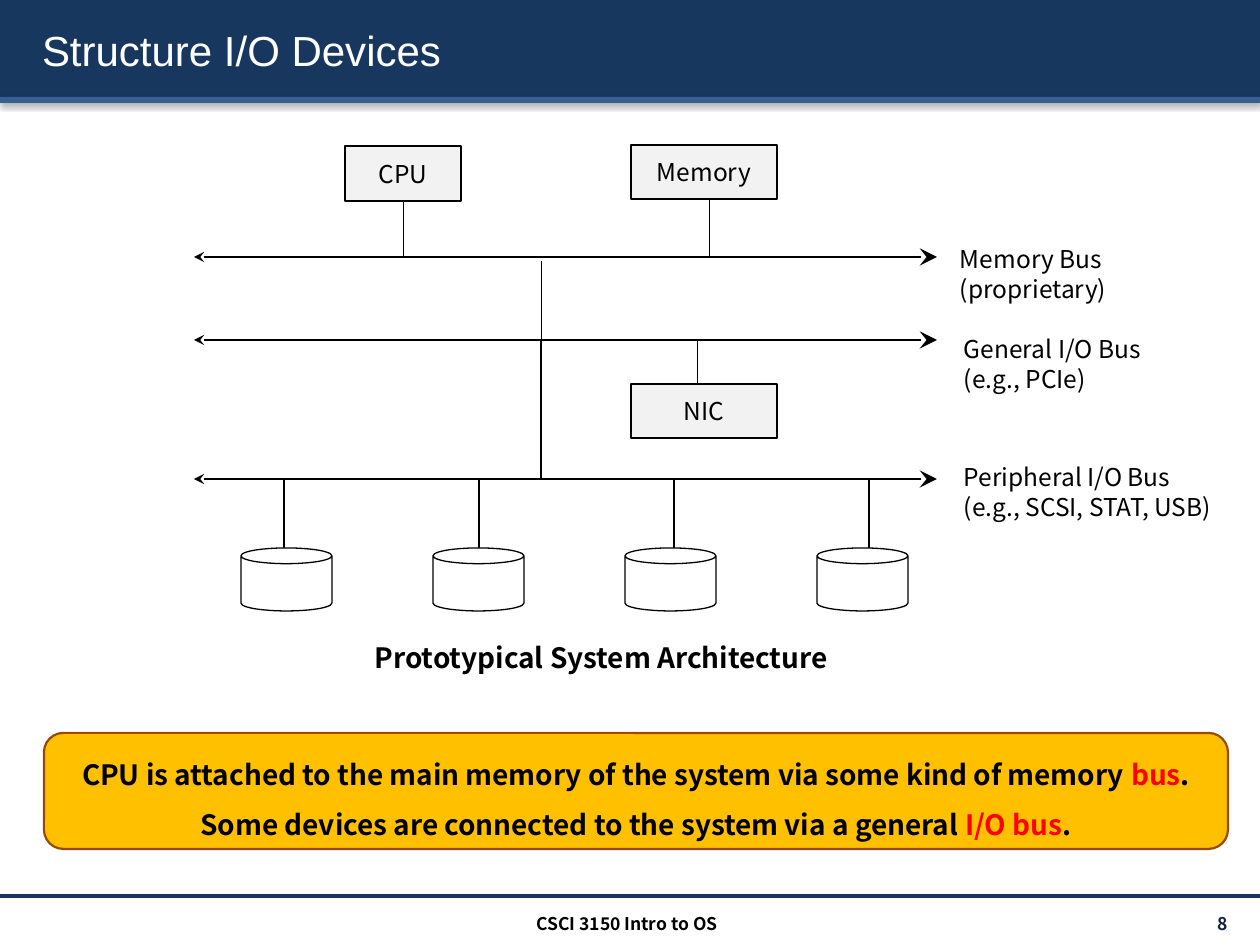
from typing import NamedTuple, Optional

from lxml.etree import SubElement
from pptx import Presentation
from pptx.dml.color import RGBColor
from pptx.enum.shapes import MSO_CONNECTOR as Connector, MSO_SHAPE as Shape
from pptx.enum.text import MSO_ANCHOR as Anchor, PP_ALIGN as Align
from pptx.oxml.ns import qn
from pptx.util import Emu, Pt

EMU_PER_INCH = 914400
PX_PER_INCH = 126
BODY_FONT = "Noto Sans CJK KR"
TITLE_FONT = "Arial"

NAVY = RGBColor(0x17, 0x37, 0x5E)
STEEL = RGBColor(0x37, 0x60, 0x92)
INK = RGBColor(0x0F, 0x24, 0x3E)
BLACK = RGBColor(0, 0, 0)
WHITE = RGBColor(255, 255, 255)
PALE = RGBColor(0xF2, 0xF2, 0xF2)
AMBER = RGBColor(0xFF, 0xC0, 0)
BROWN = RGBColor(0x98, 0x48, 0x07)
RED = RGBColor(255, 0, 0)


class Area(NamedTuple):
    left: int
    top: int
    width: int
    height: int


class Component(NamedTuple):
    label: str
    area: Area


class Bus(NamedTuple):
    y: int
    label: list
    label_area: Area


class Link(NamedTuple):
    x: int
    top: int
    bottom: int
    weight: float


BUS_LEFT, BUS_RIGHT = 194, 937
MEMORY_BUS = Bus(257, ["Memory Bus", "(proprietary)"], Area(947, 238, 202, 72))
GENERAL_BUS = Bus(340, ["General I/O Bus", "(e.g., PCIe)"], Area(951, 328, 228, 72))
PERIPHERAL_BUS = Bus(479, ["Peripheral I/O Bus", "(e.g., SCSI, STAT, USB)"],
                     Area(951, 456, 277, 72))
CPU = Component("CPU", Area(345, 146, 116, 55))
MEMORY = Component("Memory", Area(631, 145, 146, 54))
NIC = Component("NIC", Area(631, 384, 146, 54))
DISK = Area(241, 548, 91, 63)
DISK_COUNT, DISK_PITCH = 4, 192
DISK_LINK_X, DISK_LINK_PITCH = 284, 195
LINKS = [
    Link(541, 261, GENERAL_BUS.y, 0.5),
    Link(541, GENERAL_BUS.y, PERIPHERAL_BUS.y, 1),
    Link(697, GENERAL_BUS.y, NIC.area.top, 0.5),
    Link(709, 200, 256, 0.5),
]
SUMMARY = [
    [("CPU is attached to the main memory of the system via some kind of memory ", BLACK),
     ("bus", RED), (".", BLACK)],
    [("Some devices are connected to the system via a general ", BLACK),
     ("I/O bus", RED), (".", BLACK)],
]


def px(value: float) -> Emu:
    return Emu(round(value * EMU_PER_INCH / PX_PER_INCH))


def place(area: Area) -> list:
    return [px(value) for value in area]


def write(shape, paragraphs: list, *, size: float, color=BLACK, font=BODY_FONT,
          bold=False, align=Align.LEFT, anchor=Anchor.TOP, side_margin=13,
          line_spacing: Optional[float] = None) -> None:
    frame = shape.text_frame
    frame.word_wrap = True
    frame.vertical_anchor = anchor
    frame.margin_left = frame.margin_right = px(side_margin)
    for index, content in enumerate(paragraphs):
        paragraph = frame.add_paragraph() if index else frame.paragraphs[0]
        paragraph.alignment = align
        if line_spacing:
            paragraph.line_spacing = line_spacing
        pieces = [(content, color)] if isinstance(content, str) else content
        for words, ink in pieces:
            run = paragraph.add_run()
            run.text = words
            run.font.size = Pt(size)
            run.font.bold = bold
            run.font.color.rgb = ink
            run.font.name = font


def add_text(slide, area: Area, paragraphs: list, **style) -> None:
    write(slide.shapes.add_textbox(*place(area)), paragraphs, **style)


def add_block(slide, kind, area: Area, fill: RGBColor,
              outline: Optional[RGBColor] = None, weight: float = 0.75):
    block = slide.shapes.add_shape(kind, *place(area))
    block.shadow.inherit = False
    block.fill.solid()
    block.fill.fore_color.rgb = fill
    if outline is None:
        block.line.fill.background()
    else:
        block.line.color.rgb = outline
        block.line.width = Pt(weight)
    return block


def add_line(slide, start: tuple, end: tuple, weight: float, color=BLACK):
    line = slide.shapes.add_connector(Connector.STRAIGHT, *map(px, start + end))
    line.line.color.rgb = color
    line.line.width = Pt(weight)
    SubElement(line.element.spPr, qn("a:effectLst"))
    return line


def add_shadow(effects, blur: float, distance: float, angle: int, opacity: int) -> None:
    shadow = SubElement(effects, qn("a:outerShdw"), blurRad=str(Pt(blur)),
                        dist=str(Pt(distance)), dir=str(angle * 60000),
                        algn="tl", rotWithShape="0")
    shade = SubElement(shadow, qn("a:srgbClr"), val=str(BLACK))
    SubElement(shade, qn("a:alpha"), val=str(opacity * 1000))


def add_header(slide) -> None:
    title = slide.shapes.title
    for area, fill in [(Area(0, 0, 1260, 97), NAVY), (Area(0, 97, 1260, 6), STEEL)]:
        band = add_block(slide, Shape.RECTANGLE, area, fill)
        add_shadow(band.element.spPr.find(qn("a:effectLst")), 3.1, 1.6, 90, 38)
        title.element.addprevious(band.element)
    title.left, title.top, title.width, title.height = place(Area(29, 9, 1211, 81))
    write(title, ["Structure I/O Devices"], size=24, color=WHITE, font=TITLE_FONT,
          anchor=Anchor.MIDDLE)
    properties = title.text_frame.paragraphs[0].runs[0].font.fill
    properties.solid()
    properties.fore_color.rgb = WHITE
    run_format = title.element.find(".//" + qn("a:rPr"))
    effects = SubElement(run_format, qn("a:effectLst"))
    add_shadow(effects, 3, 3, 45, 100)
    run_format.find(qn("a:latin")).addprevious(effects)


def add_footer(slide) -> None:
    add_line(slide, (0, 896), (1260, 896), 2, NAVY)
    add_text(slide, Area(1097, 908, 148, 31), ["8 "], size=10, color=INK, bold=True,
             align=Align.RIGHT, anchor=Anchor.MIDDLE)
    add_text(slide, Area(418, 907, 418, 31), ["CSCI 3150 Intro to OS"], size=10,
             bold=True, align=Align.CENTER)


def add_component(slide, component: Component):
    block = add_block(slide, Shape.RECTANGLE, component.area, PALE, BLACK)
    write(block, [component.label], size=14, align=Align.CENTER, anchor=Anchor.MIDDLE,
          side_margin=0)
    return block


def add_bus(slide, bus: Bus) -> None:
    line = add_line(slide, (BUS_LEFT, bus.y), (BUS_RIGHT, bus.y), 1.5)
    outline = line.line.fill and line.element.spPr.find(qn("a:ln"))
    for end, size in [("a:headEnd", "med"), ("a:tailEnd", "lg")]:
        SubElement(outline, qn(end), type="stealth", w=size, len=size)
    add_text(slide, bus.label_area, bus.label, size=14)


def add_architecture(slide) -> None:
    cpu, _, _ = [add_component(slide, part) for part in (CPU, MEMORY, NIC)]
    for bus in (MEMORY_BUS, GENERAL_BUS, PERIPHERAL_BUS):
        add_bus(slide, bus)
    add_line(slide, (403, 201), (403, 256), 0.5).begin_connect(cpu, 2)
    disk_links = [Link(DISK_LINK_X + i * DISK_LINK_PITCH, PERIPHERAL_BUS.y, DISK.top, 1)
                  for i in range(DISK_COUNT)]
    for link in LINKS + disk_links:
        add_line(slide, (link.x, link.top), (link.x, link.bottom), link.weight)
    for i in range(DISK_COUNT):
        add_block(slide, Shape.CAN, DISK._replace(left=DISK.left + i * DISK_PITCH),
                  WHITE, BLACK)
    add_text(slide, Area(362, 634, 489, 47), ["Prototypical System Architecture"],
             size=16, bold=True)


def add_summary(slide) -> None:
    panel = add_block(slide, Shape.ROUNDED_RECTANGLE, Area(44, 733, 1184, 116),
                      AMBER, BROWN, 1.25)
    write(panel, SUMMARY, size=16, bold=True, align=Align.CENTER, anchor=Anchor.MIDDLE,
          side_margin=15, line_spacing=1.5)


def main() -> None:
    deck = Presentation()
    deck.slide_width, deck.slide_height = px(1260), px(945)
    slide = deck.slides.add_slide(deck.slide_layouts[5])
    add_header(slide)
    add_footer(slide)
    add_architecture(slide)
    add_summary(slide)
    deck.save("out.pptx")


if __name__ == "__main__":
    main()
